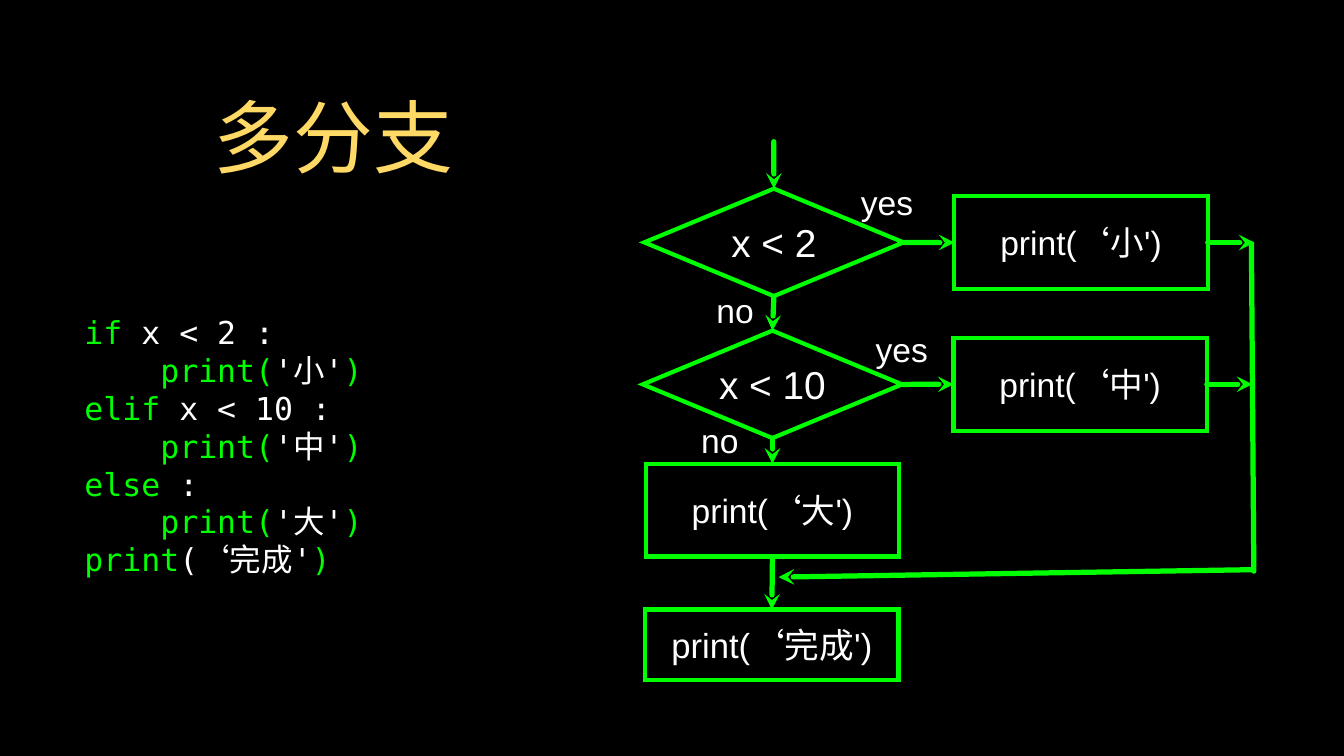
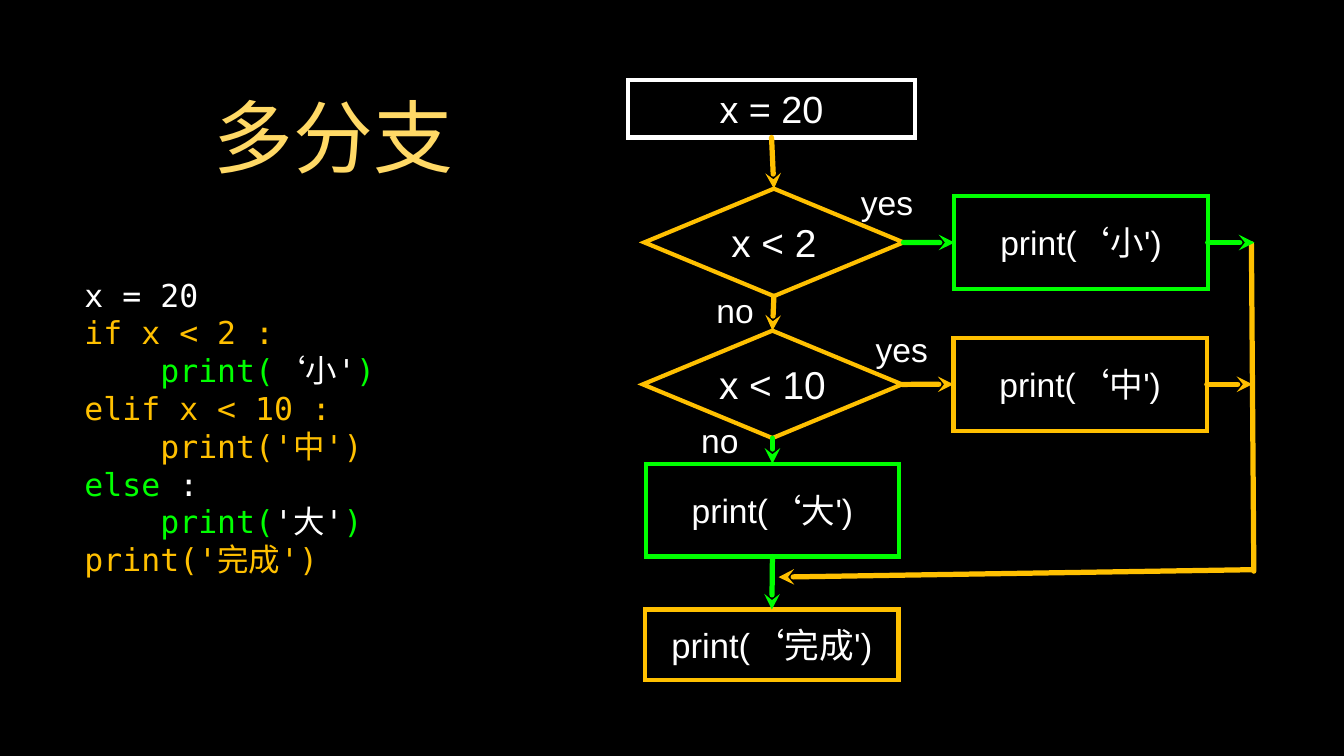
from lxml import etree
from pptx import Presentation
from pptx.dml.color import RGBColor
from pptx.enum.shapes import MSO_CONNECTOR, MSO_SHAPE
from pptx.enum.text import MSO_ANCHOR, PP_ALIGN
from pptx.oxml.ns import qn
from pptx.util import Cm, Pt

STRAIGHT = MSO_CONNECTOR.STRAIGHT
DIAMOND, RECTANGLE = MSO_SHAPE.DIAMOND, MSO_SHAPE.RECTANGLE
MIDDLE = MSO_ANCHOR.MIDDLE
LEFT, CENTER = PP_ALIGN.LEFT, PP_ALIGN.CENTER
TOP_SIDE, LEFT_SIDE, BOTTOM_SIDE, RIGHT_SIDE = range(4)

COLORS = {"black": "000000", "white": "FFFFFF", "green": "00FF00",
          "amber": "FFC000", "title": "FFD966"}
CODE_LINE = 1.27
CODE_INDENT = 2.55


def write(box, lines, size, color="white", font="Arial", align=CENTER, wrap=False, margin=0):
    """Fill a box; a line is a string or (is_indented, [(text, color), ...])."""
    frame = box.text_frame
    frame.word_wrap = wrap
    frame.vertical_anchor = MIDDLE
    frame.margin_left = frame.margin_right = Cm(margin)
    frame.margin_top = frame.margin_bottom = Cm(margin)
    for number, line in enumerate(lines):
        para = frame.add_paragraph() if number else frame.paragraphs[0]
        para.alignment = align
        indented, spans = (False, [(line, color)]) if isinstance(line, str) else line
        if indented:
            para._p.get_or_add_pPr().set("marL", str(Cm(CODE_INDENT)))
        for text, span_color in spans:
            span = para.add_run()
            span.text = text
            span.font.size = Pt(size)
            span.font.name = font
            span.font.color.rgb = RGBColor.from_string(COLORS[span_color])


def style_line(shape, color, width):
    """Colour the outline and return its XML element for further detail."""
    shape.line.color.rgb = RGBColor.from_string(COLORS[color])
    shape.line.width = Pt(width)
    return shape._element.spPr.find(qn("a:ln"))


# Code listings
def_print = ("print(", "green")
close = (")", "green")
large_lines = [
    (False, [("else", "green"), (" :", "white")]),
    (True, [def_print, ("'大'", "white"), close]),
]
plain_code = [
    (False, [("if", "green"), (" x < 2 :", "white")]),
    (True, [def_print, ("'小'", "white"), close]),
    (False, [("elif", "green"), (" x < 10 :", "white")]),
    (True, [def_print, ("'中'", "white"), close]),
    *large_lines,
    (False, [("print", "green"), ("(‘完成'", "white"), close]),
]
traced_code = [
    (False, [("x = 20", "white")]),
    (False, [("if x < 2 :", "amber")]),
    (True, [def_print, ("‘小'", "white"), close]),
    (False, [("elif x < 10 :", "amber")]),
    (True, [("print('中')", "amber")]),
    *large_lines,
    (False, [("print('完成')", "amber")]),
]

# Flowchart: name, shape, text, text size, left, top, width, height, traced color
start_node = ("start", RECTANGLE, "x = 20", 36, 21.11, 2.69, 9.63, 1.93, "white")
nodes = [
    ("below 2", DIAMOND, "x < 2", 37, 21.65, 6.34, 8.71, 3.61, "amber"),
    ("below 10", DIAMOND, "x < 10", 37, 21.6, 11.11, 8.71, 3.61, "amber"),
    ("small", RECTANGLE, "print(‘小')", 32, 32.07, 6.59, 8.51, 3.12, "green"),
    ("medium", RECTANGLE, "print(‘中')", 32, 32.04, 11.35, 8.51, 3.12, "amber"),
    ("large", RECTANGLE, "print(‘大')", 32, 21.7, 15.58, 8.51, 3.12, "green"),
    ("done", RECTANGLE, "print(‘完成')", 33, 21.68, 20.48, 8.51, 2.36, "amber"),
]

# Links run between (node, side) or (x, y): from, to, traced color, has arrowhead
links = [
    (("below 2", RIGHT_SIDE), ("small", LEFT_SIDE), "green", True),
    (("below 10", RIGHT_SIDE), ("medium", LEFT_SIDE), "amber", True),
    (("below 2", BOTTOM_SIDE), ("below 10", TOP_SIDE), "amber", True),
    (("below 10", BOTTOM_SIDE), ("large", TOP_SIDE), "green", True),
    (("large", BOTTOM_SIDE), ("done", TOP_SIDE), "green", True),
    ((42.05, 8.19), (42.13, 19.19), "amber", False),
    ((42.09, 19.14), (26.16, 19.39), "amber", True),
    (("small", RIGHT_SIDE), (42.15, 8.15), "green", True),
    (("medium", RIGHT_SIDE), (42.08, 12.91), "amber", True),
]

# Branch labels: text, left, top, width
labels = [("yes", 28.84, 6.16, 1.93), ("no", 24.04, 9.77, 1.32),
          ("yes", 29.22, 11.09, 2.16), ("no", 23.53, 14.14, 1.32)]

deck = Presentation()
deck.slide_width, deck.slide_height = Cm(45.16), Cm(25.4)
background = deck.slide_master.background.fill
background.solid()
background.fore_color.rgb = RGBColor.from_string(COLORS["black"])
title_only = deck.slide_layouts[5]

for code, traced in ((plain_code, False), (traced_code, True)):
    page = deck.slides.add_slide(title_only)

    # Title
    title = page.shapes.title
    title.left, title.top, title.width, title.height = Cm(3.2), Cm(2.08), Cm(16), Cm(4.98)
    write(title, ["多分支"], 76, "title", wrap=True, margin=0.1)

    # Code, with its last line at the same height on both slides
    listing = page.shapes.add_textbox(Cm(2.84), Cm(8.84), Cm(14.17), Cm(11))
    write(listing, code, 30, font="DejaVu Sans Mono", align=LEFT, wrap=True)
    listing.text_frame.margin_top = Cm(CODE_LINE * (len(traced_code) - len(code)))

    # Nodes
    boxes = {}
    for name, kind, text, size, left, top, width, height, color in (
            nodes + [start_node] if traced else nodes):
        box = page.shapes.add_shape(kind, Cm(left), Cm(top), Cm(width), Cm(height))
        box.shadow.inherit = False
        box.fill.background()
        outline = style_line(box, color if traced else "green", 4)
        etree.SubElement(outline, qn("a:miter"), lim="800000")
        write(box, [text], size)
        boxes[name] = box

    # Links
    entry_start = ("start", BOTTOM_SIDE) if traced else (26, 4.76)
    entry = (entry_start, ("below 2", TOP_SIDE), "amber", True)
    for source, target, color, has_arrow in [entry] + links:
        ends = [(0, 0) if end[0] in boxes else end for end in (source, target)]
        link = page.shapes.add_connector(
            STRAIGHT, *[Cm(length) for end in ends for length in end])
        if source[0] in boxes:
            link.begin_connect(boxes[source[0]], source[1])
        if target[0] in boxes:
            link.end_connect(boxes[target[0]], target[1])
        outline = style_line(link, color if traced else "green", 5)
        outline.set("cap", "rnd")
        if has_arrow:
            etree.SubElement(outline, qn("a:tailEnd"), type="stealth")
        etree.SubElement(link._element.spPr, qn("a:effectLst"))

    # Branch labels
    for text, left, top, width in labels:
        label = page.shapes.add_textbox(Cm(left), Cm(top), Cm(width), Cm(1.27))
        write(label, [text], 32)

deck.save("out.pptx")
